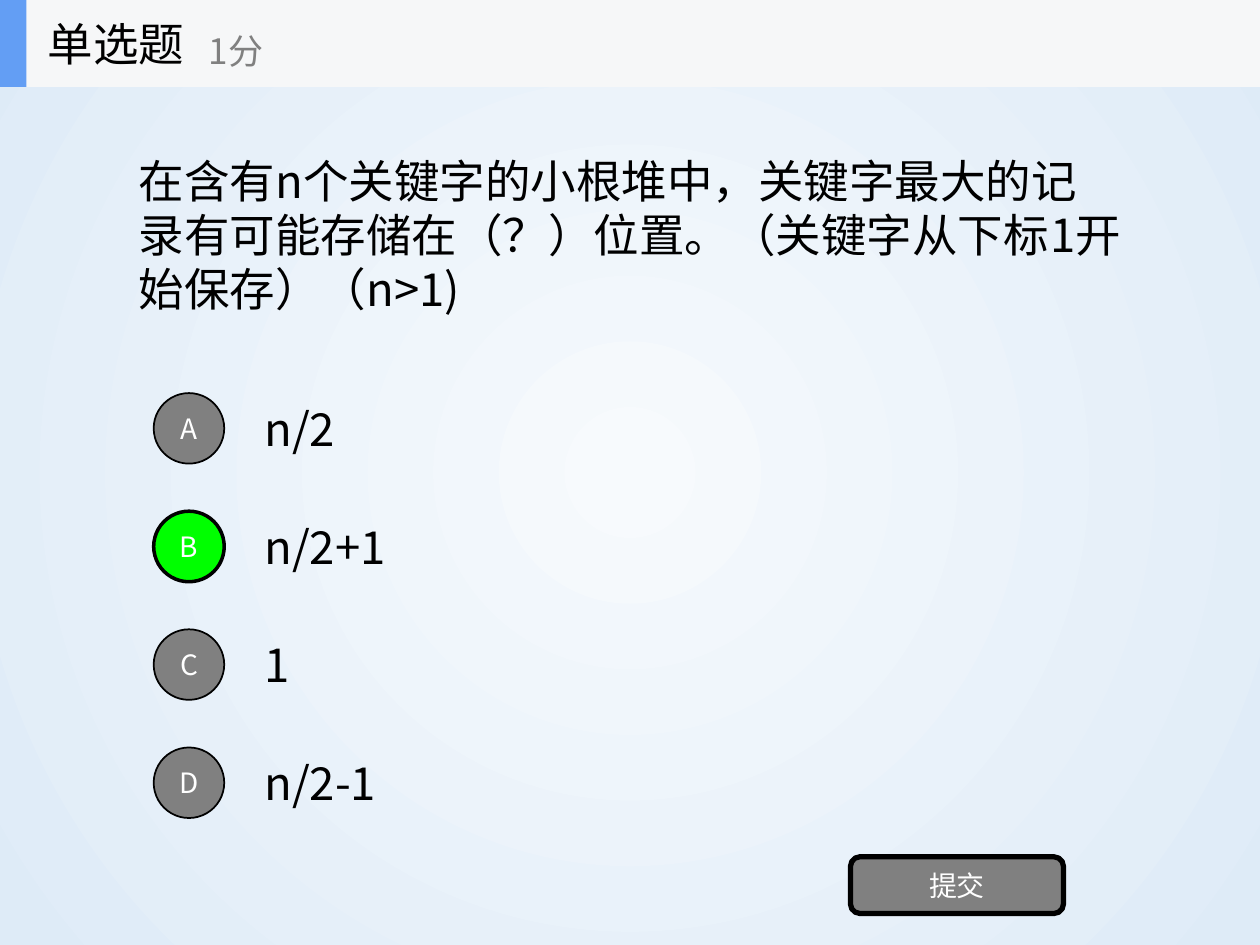
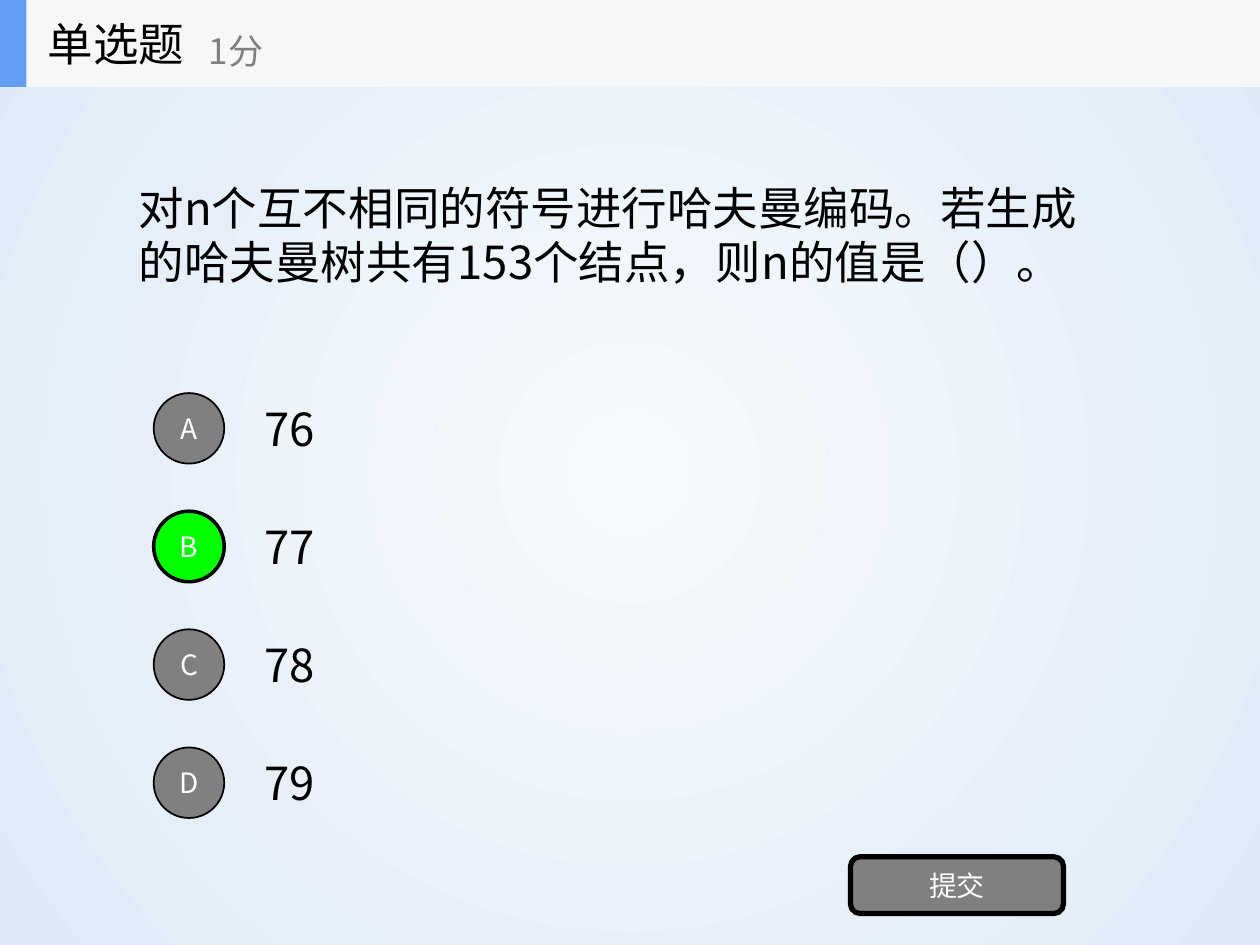
from lxml import etree
from pptx import Presentation
from pptx.dml.color import RGBColor
from pptx.enum.shapes import MSO_SHAPE
from pptx.enum.text import MSO_ANCHOR, MSO_AUTO_SIZE, PP_ALIGN
from pptx.oxml import parse_xml
from pptx.oxml.ns import nsdecls, qn
from pptx.util import Inches, Pt

OVAL, RECTANGLE = MSO_SHAPE.OVAL, MSO_SHAPE.RECTANGLE
ROUNDED = MSO_SHAPE.ROUNDED_RECTANGLE
MIDDLE, NO_AUTOFIT = MSO_ANCHOR.MIDDLE, MSO_AUTO_SIZE.NONE
LEFT, CENTER = PP_ALIGN.LEFT, PP_ALIGN.CENTER

FONT = "Noto Sans CJK SC"
COLORS = {
    "text": "000000",
    "muted": "808080",
    "white": "FFFFFF",
    "correct": "00FF00",
    "band": "F6F7F8",
    "accent": "639EF4",
    "glow": "F7FAFD",
    "edge": "DEEBF7",
}
TITLE_ONLY = 5
SLIDE_WIDTH, SLIDE_HEIGHT = 10, 7.5
BAND_HEIGHT = 0.69
OPTION_TOP, OPTION_HEIGHT = 3.05, 0.7
OPTION_PITCH = SLIDE_HEIGHT / 8
BADGE_SIZE = 0.56

QUESTIONS = [
    ("在含有n个关键字的小根堆中，关键字最大的记录有可能存储在（？）位置。"
     "（关键字从下标1开始保存）（n>1)",
     ["n/2", "n/2+1", "1", "n/2-1"], "B"),
    ("对n个互不相同的符号进行哈夫曼编码。若生成的哈夫曼树共有153个结点，"
     "则n的值是（）。",
     ["76", "77", "78", "79"], "B"),
]


def rgb(name):
    return RGBColor.from_string(COLORS[name])


def inches(*lengths):
    return [Inches(length) for length in lengths]


def set_background(master):
    """Give every slide a radial gradient that is light in the middle."""
    background = master.background.fill
    background.solid()
    solid = master.element.find(".//" + qn("p:bgPr")).find(qn("a:solidFill"))
    gradient = parse_xml(
        f'<a:gradFill {nsdecls("a")} rotWithShape="1"><a:gsLst>'
        f'<a:gs pos="0"><a:srgbClr val="{COLORS["glow"]}"/></a:gs>'
        f'<a:gs pos="100000"><a:srgbClr val="{COLORS["edge"]}"/></a:gs>'
        '</a:gsLst><a:path path="circle">'
        '<a:fillToRect l="50000" t="50000" r="50000" b="50000"/>'
        '</a:path></a:gradFill>')
    solid.getparent().replace(solid, gradient)


def write(box, text, size, color="text", align=LEFT, wrap=True):
    frame = box.text_frame
    frame.auto_size = NO_AUTOFIT
    frame.word_wrap = wrap
    frame.vertical_anchor = MIDDLE
    para = frame.paragraphs[0]
    para.alignment = align
    span = para.add_run()
    span.text = text
    span.font.size = Pt(size)
    span.font.name = FONT
    span.font.color.rgb = rgb(color)
    latin = span.font._element.find(qn("a:latin"))
    east_asian = etree.Element(qn("a:ea"), typeface=FONT)
    latin.addnext(east_asian)
    return para


def add_text(shapes, text, area, size, **style):
    write(shapes.add_textbox(*inches(*area)), text, size, **style)


def add_block(shapes, kind, area, fill, line_width=0):
    block = shapes.add_shape(kind, *inches(*area))
    block.shadow.inherit = False
    block.fill.solid()
    block.fill.fore_color.rgb = rgb(fill)
    if line_width:
        block.line.color.rgb = rgb("text")
        block.line.width = Pt(line_width)
    else:
        block.line.fill.background()
    return block


def add_button(slide, kind, area, label, fill, line_width):
    button = add_block(slide.shapes, kind, area, fill, line_width)
    frame = button.text_frame
    frame.margin_left = frame.margin_right = 0
    frame.margin_top = frame.margin_bottom = 0
    write(button, label, 16, "white", CENTER)


def add_question(slide, question):
    title = slide.shapes.title
    title.left, title.top, title.width, title.height = inches(
        1, BAND_HEIGHT, 8, 2.34)
    write(title, question, 26).line_spacing = Pt(31)


def add_options(slide, options, answer):
    tops = [OPTION_TOP + row * OPTION_PITCH for row in range(len(options))]
    for top, option in zip(tops, options):
        add_text(slide.shapes, option, (2, top, 7, OPTION_HEIGHT), 26)
    for top, letter in zip(tops, "ABCD"):
        badge_top = top + (OPTION_HEIGHT - BADGE_SIZE) / 2
        fill, line_width = ("correct", 2) if letter == answer else ("muted", 1)
        add_button(slide, OVAL, (1.22, badge_top, BADGE_SIZE, BADGE_SIZE),
                   letter, fill, line_width)


def add_header(slide):
    header = slide.shapes.add_group_shape().shapes
    add_block(header, RECTANGLE, (0, 0, SLIDE_WIDTH, BAND_HEIGHT), "band")
    add_block(header, RECTANGLE, (0, 0, 0.21, BAND_HEIGHT), "accent")
    add_text(header, "单选题", (0.28, 0, 2.08, BAND_HEIGHT), 26, wrap=False)
    add_text(header, "1分", (1.56, 0.12, 2.5, 0.56), 20,
             color="muted", wrap=False)


def main():
    deck = Presentation()
    deck.slide_width, deck.slide_height = inches(SLIDE_WIDTH, SLIDE_HEIGHT)
    set_background(deck.slide_master)
    for question, options, answer in QUESTIONS:
        slide = deck.slides.add_slide(deck.slide_layouts[TITLE_ONLY])
        add_question(slide, question)
        add_options(slide, options, answer)
        add_button(slide, ROUNDED, (6.75, 6.8, 1.69, 0.45), "提交", "muted", 3)
        add_header(slide)
    deck.save("out.pptx")


if __name__ == "__main__":
    main()
